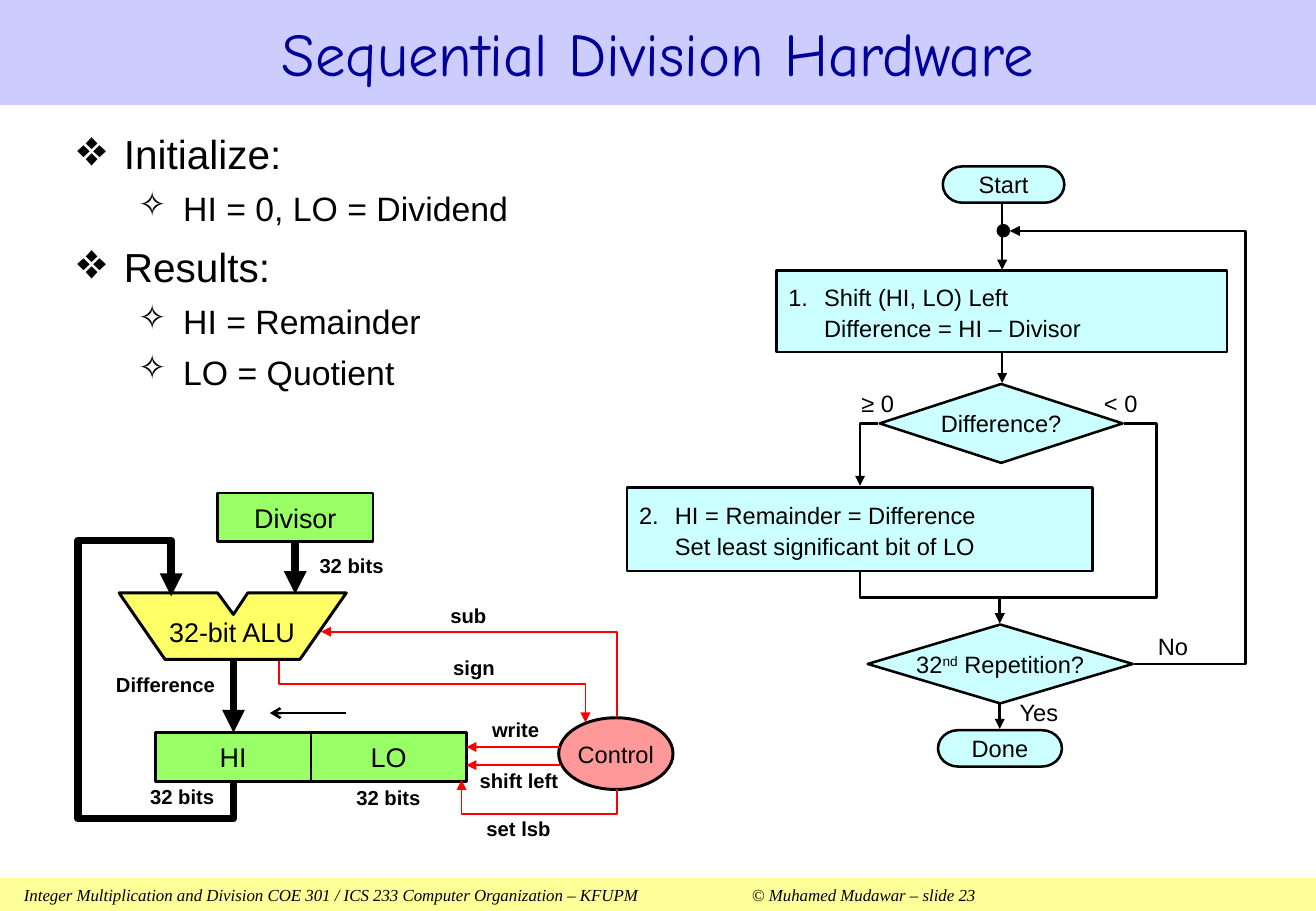
from lxml import etree
from pptx import Presentation
from pptx import util as u
from pptx.dml.color import RGBColor
from pptx.enum import shapes, text
from pptx.oxml.ns import qn

BLACK = RGBColor(0x00, 0x00, 0x00)
RED = RGBColor(0xFF, 0x00, 0x00)
NAVY = RGBColor(0x00, 0x00, 0x99)
LILAC = RGBColor(0xCC, 0xCC, 0xFF)
CREAM = RGBColor(0xFF, 0xFF, 0x99)
CYAN = RGBColor(0xCC, 0xFF, 0xFF)
GREEN = RGBColor(0x99, 0xFF, 0x66)
YELLOW = RGBColor(0xFF, 0xFF, 0x66)
PINK = RGBColor(0xFF, 0x99, 0x99)

KIND = shapes.MSO_SHAPE
MID = text.PP_ALIGN.CENTER
LEFT = text.PP_ALIGN.LEFT

deck = Presentation()
deck.slide_width, deck.slide_height = u.Cm(27.51), u.Cm(19.05)
slide = deck.slides.add_slide(deck.slide_layouts[5])
pool = slide.shapes


def write(shape, words, size, align=MID, face="Arial", color=BLACK, bold=False):
    """Fill a shape with one unwrapped paragraph and return the paragraph."""
    frame = shape.text_frame
    frame.text = words
    frame.word_wrap = False
    frame.vertical_anchor = text.MSO_ANCHOR.MIDDLE
    para = frame.paragraphs[0]
    para.alignment = align
    para.font.size = u.Pt(size)
    para.font.name = face
    para.font.color.rgb = color
    para.font.bold = bold
    return para


def route(points, color=BLACK, width=1.5, tip="triangle"):
    """Draw a straight or bent line through points in cm, with a tip at its end."""
    spots = [(u.Cm(x), u.Cm(y)) for x, y in points]
    if len(spots) == 2:
        line = pool.add_connector(shapes.MSO_CONNECTOR.STRAIGHT, *spots[0], *spots[1])
    else:
        pen = pool.build_freeform(*spots[0], scale=1.0)
        pen.add_line_segments(spots[1:], close=False)
        line = pen.convert_to_shape()
        line.fill.background()
    line.line.color.rgb = color
    line.line.width = u.Pt(width)
    props = line._element.spPr
    if tip:
        etree.SubElement(props.find(qn("a:ln")), qn("a:tailEnd"), type=tip)
    etree.SubElement(props, qn("a:effectLst"))
    return line


# Title and footer bands
title = pool.title
title.left, title.top, title.width, title.height = 0, 0, deck.slide_width, u.Cm(2.2)
title.fill.solid()
title.fill.fore_color.rgb = LILAC
write(title, "Sequential Division Hardware", 36, face="Comic Neue", color=NAVY)

foot = pool.add_shape(KIND.RECTANGLE, 0, u.Cm(18.36), deck.slide_width, u.Cm(0.69))
foot.shadow.inherit = False
foot.fill.solid()
foot.fill.fore_color.rgb = CREAM
foot.line.fill.background()
foot.text_frame.margin_left = u.Cm(0.5)
para = write(foot, "Integer Multiplication and Division COE 301 / ICS 233 Computer "
             "Organization – KFUPM\t© Muhamed Mudawar – slide 23",
             10, LEFT, "Times New Roman")
para.font.italic = True
foot.text_frame.word_wrap = True
stops = etree.Element(qn("a:tabLst"))
etree.SubElement(stops, qn("a:tab"), pos=str(u.Cm(15.22)), algn="l")
para._p.pPr.find(qn("a:defRPr")).addprevious(stops)

# Bulleted outline
body = pool.add_textbox(u.Cm(1.37), u.Cm(2.58), u.Cm(13.89), u.Cm(6.96)).text_frame
body.word_wrap = True
outline = [(0, "Initialize:"), (1, "HI = 0, LO = Dividend"), (0, "Results:"),
           (1, "HI = Remainder"), (1, "LO = Quotient")]
# Mark, mark scale, size, space before, left margin, hanging indent
levels = [("❖", 125, 24, 8, 0.97, 0.97), ("✧", 100, 20, 6, 2.21, 0.94)]
for row, (level, words) in enumerate(outline):
    mark, scale, size, gap, margin, hang = levels[level]
    para = body.add_paragraph() if row else body.paragraphs[0]
    para.text = words
    para.level = level
    para.space_before = u.Pt(gap if row else 0)
    para.font.size = u.Pt(size)
    para.font.name = "Arial"
    para.font.color.rgb = BLACK
    props = para._p.pPr
    props.set("marL", str(u.Cm(margin)))
    props.set("indent", str(-u.Cm(hang)))
    for bullet in (etree.Element(qn("a:buSzPct"), val=str(scale * 1000)),
                   etree.Element(qn("a:buChar"), char=mark)):
        props.find(qn("a:defRPr")).addprevious(bullet)

# Flowchart and datapath nodes
ends, test, box, oval = (KIND.FLOWCHART_TERMINATOR, KIND.FLOWCHART_DECISION,
                         KIND.RECTANGLE, KIND.OVAL)
steps = ["Shift (HI, LO) Left\vDifference = HI – Divisor",
         "HI = Remainder = Difference\vSet least significant bit of LO"]
nodes = {}
for words, kind, x, y, wide, high, fill, width, size in [
        ("", oval, 20.85, 4.7, 0.25, 0.25, BLACK, 1, 14),
        ("Start", ends, 19.71, 3.48, 2.54, 0.76, CYAN, 1.5, 14),
        (steps[0], box, 16.23, 5.66, 9.42, 1.7, CYAN, 1.5, 14),
        ("Difference?", test, 18.39, 8.03, 5.08, 1.65, CYAN, 1.5, 14),
        (steps[1], box, 13.11, 10.19, 9.73, 1.75, CYAN, 1.5, 14),
        ("32", test, 18.14, 13.06, 5.54, 1.65, CYAN, 1.5, 14),
        ("Done", ends, 19.61, 15.27, 2.59, 0.76, CYAN, 1.5, 14),
        ("Divisor", box, 4.55, 10.31, 3.25, 1.02, GREEN, 1.5, 16),
        ("HI", box, 3.25, 15.32, 3.25, 1.02, GREEN, 1.5, 16),
        ("LO", box, 6.5, 15.32, 3.25, 1.02, GREEN, 1.5, 16),
        ("Control", oval, 11.68, 15.01, 2.39, 1.5, PINK, 1.75, 14)]:
    node = pool.add_shape(kind, u.Cm(x), u.Cm(y), u.Cm(wide), u.Cm(high))
    node.shadow.inherit = False
    node.fill.solid()
    node.fill.fore_color.rgb = fill
    node.line.color.rgb = BLACK
    node.line.width = u.Pt(width)
    if words:
        nodes[words] = write(node, words, size)

for count, words in enumerate(steps, 1):
    para = nodes[words]
    para.alignment = LEFT
    para.line_spacing = 1.1
    props = para._p.pPr
    props.set("marL", str(u.Cm(0.75)))
    props.set("indent", str(-u.Cm(0.75)))
    number = etree.Element(qn("a:buAutoNum"), type="arabicPeriod", startAt=str(count))
    props.find(qn("a:defRPr")).addprevious(number)

power = nodes["32"].add_run()
power.text = "nd"
power.font._element.set("baseline", "30000")
nodes["32"].add_run().text = " Repetition?"

alu = route([(7.24, 12.4), (5.18, 12.4), (4.88, 12.85), (4.55, 12.4), (2.49, 12.4),
             (3.45, 13.79), (6.27, 13.79), (7.24, 12.4)], width=1.75, tip=None)
alu.fill.solid()
alu.fill.fore_color.rgb = YELLOW

# Flowchart arrows
for points in [
        [(20.95, 4.26), (20.95, 5.64)],
        [(20.95, 7.39), (20.95, 8.01)],
        [(18.36, 8.86), (17.98, 8.86), (17.98, 10.16)],
        [(17.98, 11.96), (17.98, 12.5), (20.9, 12.5), (20.9, 13.03)],
        [(23.5, 8.86), (24.18, 8.86), (24.18, 12.5), (20.9, 12.5), (20.9, 13.03)],
        [(20.9, 14.73), (20.9, 15.24)],
        [(23.7, 13.89), (26.04, 13.89), (26.04, 4.83), (21.11, 4.83)]]:
    route(points)

# Data buses
for points in [
        [(4.88, 13.82), (4.88, 15.32)],
        [(6.17, 11.33), (6.17, 12.42)],
        [(4.88, 16.31), (4.88, 17.12), (1.63, 17.12), (1.63, 11.3), (3.58, 11.3),
         (3.58, 12.47)]]:
    route(points, width=4.5)

# Control signals and shift direction
for points in [
        [(5.84, 13.82), (5.84, 14.3), (12.24, 14.3), (12.24, 15.11)],
        [(12.9, 16.51), (12.9, 17.02), (9.65, 17.02), (9.65, 16.31)],
        [(12.9, 15), (12.9, 13.21), (6.71, 13.21)],
        [(11.71, 15.62), (9.75, 15.62)],
        [(11.73, 16), (9.75, 16)]]:
    route(points, RED, 1)
route([(7.24, 14.91), (5.64, 14.91)], tip="arrow")

# Labels, placed by their centres
for words, x, y, size, bold in [
        ("< 0", 23.43, 8.42, 14, False), ("≥ 0", 18.35, 8.42, 14, False),
        ("No", 24.52, 13.51, 14, False), ("Yes", 21.72, 14.9, 14, False),
        ("32-bit ALU", 4.85, 13.22, 16, False),
        ("32 bits", 7.35, 11.82, 12, True), ("32 bits", 3.81, 16.66, 12, True),
        ("32 bits", 8.12, 16.67, 12, True), ("Difference", 3.46, 14.32, 12, True),
        ("sub", 9.79, 12.88, 12, True), ("sign", 9.91, 13.96, 12, True),
        ("write", 10.78, 15.26, 12, True), ("shift left", 10.85, 16.31, 12, True),
        ("set lsb", 10.84, 17.32, 12, True)]:
    label = pool.add_textbox(u.Cm(x - 1.6), u.Cm(y - 0.3), u.Cm(3.2), u.Cm(0.6))
    frame = label.text_frame
    frame.margin_left = frame.margin_right = frame.margin_top = frame.margin_bottom = 0
    write(label, words, size, bold=bold)

deck.save("out.pptx")
